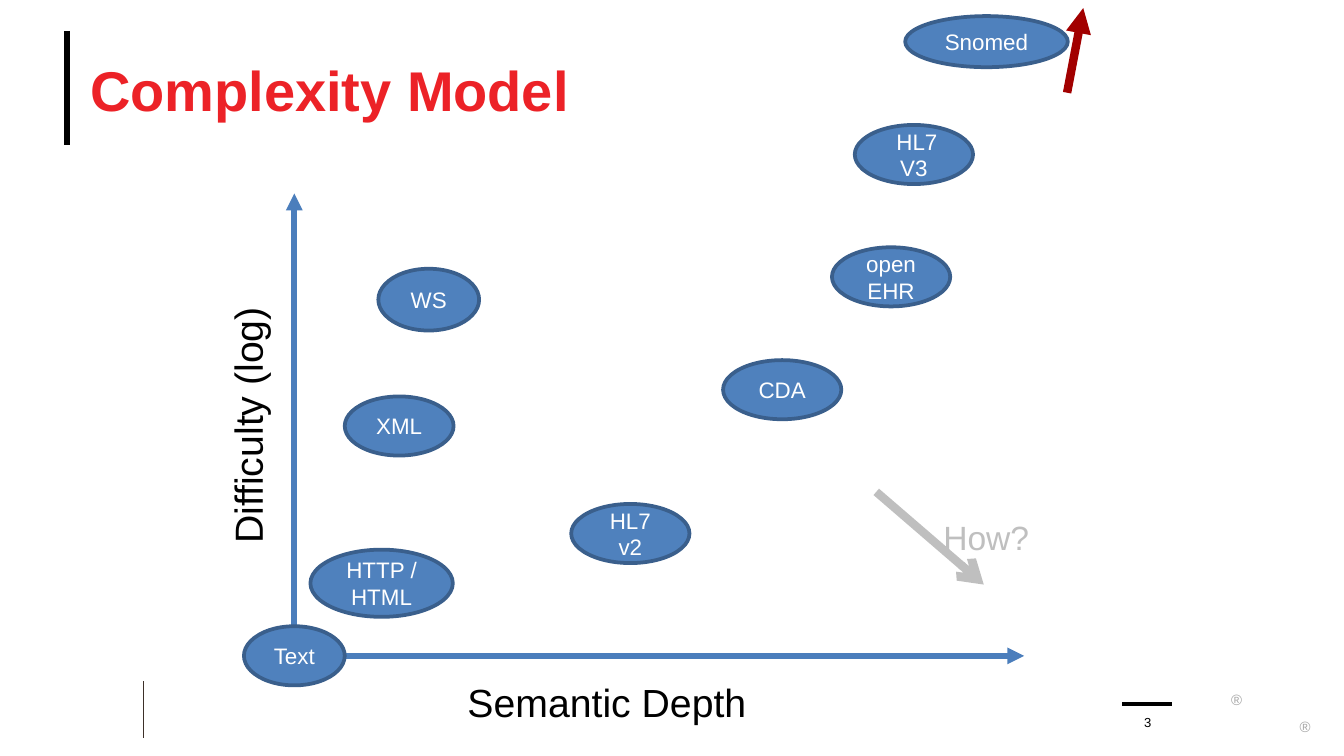
from dataclasses import dataclass
from lxml.etree import SubElement
from pptx import Presentation
from pptx.dml.color import RGBColor
from pptx.enum.shapes import MSO_CONNECTOR, MSO_SHAPE
from pptx.enum.text import MSO_ANCHOR, MSO_AUTO_SIZE, PP_ALIGN
from pptx.oxml.ns import qn
from pptx.util import Inches, Pt


@dataclass(frozen=True)
class Theme:
    font: str = "Arial"
    red: str = "EC2227"
    dark: str = "A20000"
    black: str = "000000"
    brown: str = "3D3029"
    white: str = "FFFFFF"
    blue: str = "4F81BD"
    edge: str = "3A5F8C"
    axis: str = "4B7EBC"
    grey: str = "BFBFBF"
    mark: str = "A6A6A6"
    title: int = 30
    label: int = 21
    hint: int = 18
    node: int = 12
    sign: int = 8
    page: int = 7


T = Theme()

NODES = [
    ("HTTP / HTML", 0.65, 0.54, 1.06, 0.5),
    ("XML", 0.78, 1.71, 0.81, 0.44),
    ("WS", 1, 2.65, 0.75, 0.46),
    ("HL7 v2", 2.5, 0.91, 0.88, 0.44),
    ("Snomed", 5.15, 4.57, 1.21, 0.38),
    ("CDA", 3.63, 1.98, 0.88, 0.44),
    (" HL7 V3", 4.61, 3.73, 0.88, 0.44),
    ("openEHR", 4.44, 2.82, 0.88, 0.44),
    ("Text", 0, 0, 0.75, 0.44),
]


def put_text(shape, text, size, color, bold=False, align=PP_ALIGN.LEFT,
             anchor=MSO_ANCHOR.TOP, pad=(0.1, 0.05), wrap=True):
    frame = shape.text_frame
    frame.word_wrap = wrap
    frame.auto_size = MSO_AUTO_SIZE.NONE if wrap else MSO_AUTO_SIZE.SHAPE_TO_FIT_TEXT
    frame.vertical_anchor = anchor
    frame.margin_left = frame.margin_right = Inches(pad[0])
    frame.margin_top = frame.margin_bottom = Inches(pad[1])
    para = frame.paragraphs[0]
    para.alignment = align
    run = para.add_run()
    run.text = text
    run.font.name = T.font
    run.font.size = Pt(size)
    run.font.bold = bold
    run.font.color.rgb = RGBColor.from_string(color)


def add_text(slide, box, text, **style):
    shape = slide.shapes.add_textbox(*map(Inches, box))
    put_text(shape, text, **style)
    return shape


def add_line(slide, start, end, color, width, tip=None):
    line = slide.shapes.add_connector(
        MSO_CONNECTOR.STRAIGHT, *map(Inches, (*start, *end)))
    line.line.color.rgb = RGBColor.from_string(color)
    line.line.width = Pt(width)
    if tip:
        SubElement(line.line._get_or_add_ln(), qn("a:tailEnd"), type=tip)
    SubElement(line._element.spPr, qn("a:effectLst"))


def add_node(slide, text, x, y, width, height):
    box = (x - width / 2, y - height / 2, width, height)
    shape = slide.shapes.add_shape(MSO_SHAPE.OVAL, *map(Inches, box))
    shape.shadow.inherit = False
    shape.fill.solid()
    shape.fill.fore_color.rgb = RGBColor.from_string(T.blue)
    shape.line.color.rgb = RGBColor.from_string(T.edge)
    shape.line.width = Pt(2)
    put_text(shape, text, size=T.node, color=T.white,
             align=PP_ALIGN.CENTER, anchor=MSO_ANCHOR.MIDDLE)


def add_header(slide, box):
    left, top, width, height = box
    add_line(slide, (left, top), (left, top + 0.85), T.black, 3.25)
    add_text(slide, (left + 0.17, top, width - 0.17, height), "Complexity Model",
             size=T.title, color=T.red, bold=True,
             anchor=MSO_ANCHOR.MIDDLE, pad=(0, 0))


def add_footer(slide, box):
    left, top, width, height = box
    add_line(slide, (left, top), (left, top + height), T.brown, 0.5)
    add_line(slide, (left + 7.28, top + 0.17), (left + 7.65, top + 0.17), T.black, 2)
    add_text(slide, (left + 7.32, top + 0.17, 0.3, 0.19), "3",
             size=T.page, color=T.black, align=PP_ALIGN.CENTER,
             anchor=MSO_ANCHOR.BOTTOM, pad=(0, 0))
    for x, y in ((width - 0.6, 0.03), (width - 0.09, 0.23)):
        add_text(slide, (left + x, top + y, 0.11, 0.09), "®", size=T.sign,
                 color=T.mark, pad=(0, 0.05), wrap=False)


def add_plot(slide, box):
    left, top, width, height = box
    base = top + height
    add_line(slide, (left, base), (left, top), T.axis, 3, "triangle")
    add_line(slide, (left, base), (left + width, base), T.axis, 3, "triangle")
    style = dict(size=T.label, color=T.black, wrap=False)
    label = add_text(slide, (left - 1.34, top + 1.49, 1.98, 0.45),
                     "Difficulty (log)", **style)
    label.rotation = 270
    add_text(slide, (left + 1.19, base + 0.12, 2.29, 0.45), "Semantic Depth", **style)
    for text, x, y, wide, high in NODES:
        add_node(slide, text, left + x, base - y, wide, high)
    add_line(slide, (left + 5.75, base - 4.19), (left + 5.87, base - 4.82),
             T.dark, 4.5, "triangle")
    add_line(slide, (left + 4.33, base - 1.22), (left + 5.13, base - 0.53),
             T.grey, 4.5, "arrow")
    add_text(slide, (left + 4.73, base - 1.08, 0.85, 0.4), "How?",
             size=T.hint, color=T.grey, wrap=False)


def main():
    deck = Presentation()
    deck.slide_width, deck.slide_height = Inches(10), Inches(10 * 9 / 16)
    slide = deck.slides.add_slide(deck.slide_layouts[6])
    add_header(slide, (0.5, 0.23, 9.17, 0.86))
    add_footer(slide, (1.07, 5.07, 8.69, 0.42))
    add_plot(slide, (2.19, 1.44, 5.43, 3.44))
    deck.save("out.pptx")


if __name__ == "__main__":
    main()
